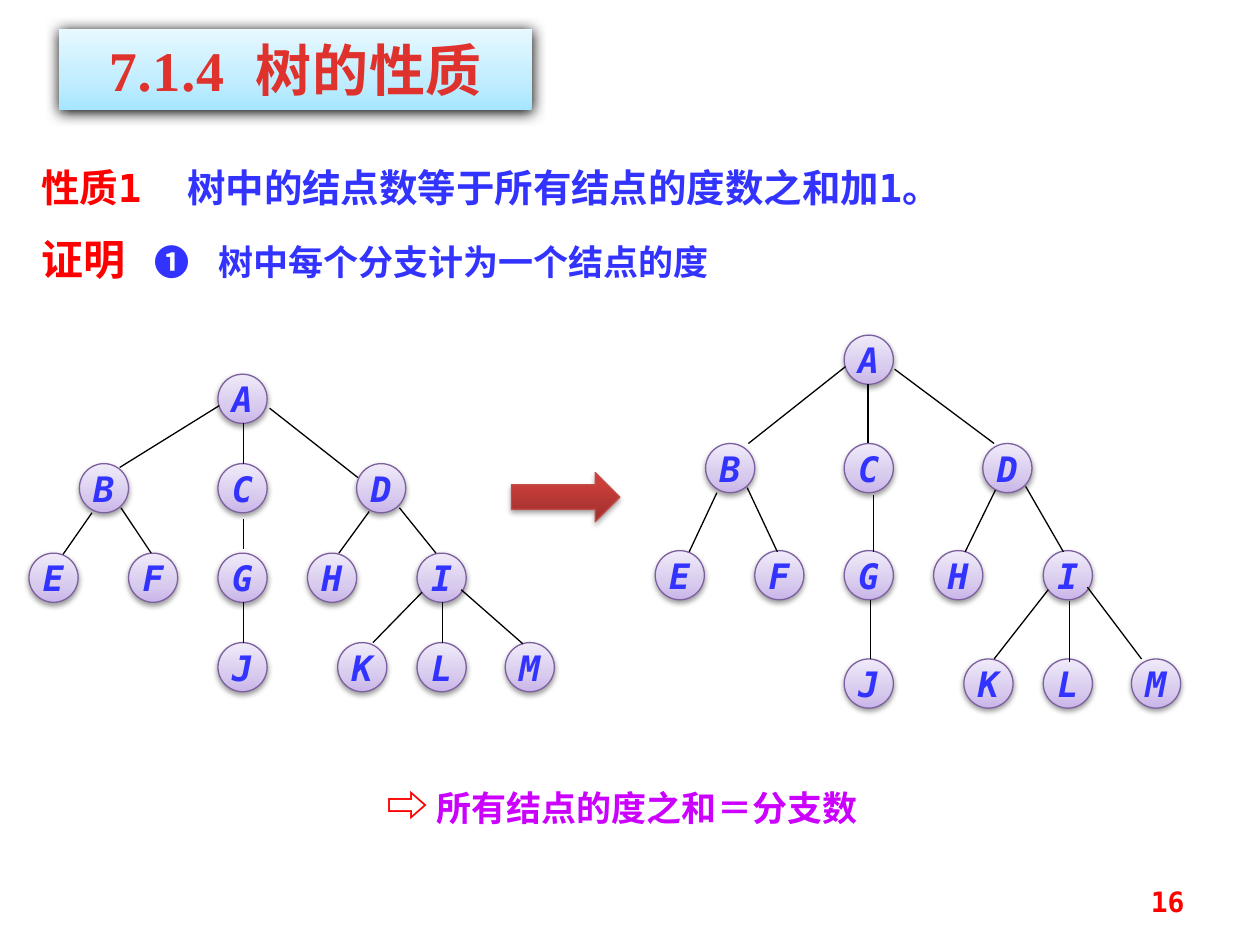
from dataclasses import dataclass

from lxml import etree
from pptx import Presentation
from pptx.dml.color import RGBColor
from pptx.enum.shapes import MSO_CONNECTOR, MSO_SHAPE
from pptx.enum.text import MSO_ANCHOR, MSO_AUTO_SIZE, PP_ALIGN
from pptx.oxml.ns import qn
from pptx.util import Pt

PX = 9144  # EMU in one px, 100 px to the inch
LEFT, MID, RIGHT = PP_ALIGN.LEFT, PP_ALIGN.CENTER, PP_ALIGN.RIGHT
TOP, MIDDLE = MSO_ANCHOR.TOP, MSO_ANCHOR.MIDDLE
GROW, FIXED = MSO_AUTO_SIZE.SHAPE_TO_FIT_TEXT, MSO_AUTO_SIZE.NONE
OVAL, RECT, ARROW = MSO_SHAPE.OVAL, MSO_SHAPE.RECTANGLE, MSO_SHAPE.RIGHT_ARROW
STRAIGHT = MSO_CONNECTOR.STRAIGHT


@dataclass(frozen=True)
class Theme:
    mono: str = "DejaVu Sans Mono"
    serif: str = "Times New Roman"
    red: str = "FF0000"
    blue: str = "3333FF"
    pink: str = "CC00FF"
    brick: str = "E0322D"
    black: str = "000000"
    rim: str = "7D60A0"
    edge: str = "BF4C48"
    # Gradients run from bottom to top: (percent, colour)
    sky: tuple = ((0, "A7E6FF"), (35, "C1EDFF"), (100, "E7F8FF"))
    lilac: tuple = ((0, "C9B5E8"), (35, "D8CBEE"), (100, "F0EAF9"))
    rust: tuple = ((0, "9C2F2D"), (80, "CB3E3A"), (100, "CE3B37"))
    # Shadows: opacity percent, blur and distance in points
    deep: tuple = (100, 8.5, 1)
    soft: tuple = (38, 3.1, 1.6)
    faint: tuple = (35, 3.1, 1.8)
    head: int = 32
    proof: int = 24
    claim: int = 22
    body: int = 20
    page: int = 16
    hair: float = 0.75


THEME = Theme()


def put(para, text, size=THEME.body, color=THEME.blue, font=THEME.mono,
        italic=False, space=0):
    """Add one bold run; space is extra letter spacing in points."""
    run = para.add_run()
    run.text = text
    run.font.name, run.font.size = font, Pt(size)
    run.font.bold, run.font.italic = True, italic
    run.font.color.rgb = RGBColor.from_string(color)
    if space:
        run.font._element.set("spc", str(round(space * 100)))


class Deck:
    def __init__(self, theme, wide, high):
        self.theme = theme
        self.file = Presentation()
        self.file.slide_width, self.file.slide_height = wide * PX, high * PX
        self.slide = self.file.slides.add_slide(self.file.slide_layouts[6])

    def para(self, shape, align=LEFT, anchor=TOP, wrap=True, size=FIXED, lead=None):
        frame = shape.text_frame
        frame.word_wrap, frame.auto_size = wrap, size
        frame.vertical_anchor = anchor
        para = frame.paragraphs[0]
        para.alignment = align
        if lead:
            para.line_spacing = lead
        return para

    def text(self, box, runs, size=GROW, **form):
        shape = self.slide.shapes.add_textbox(*(n * PX for n in box))
        para = self.para(shape, size=size, **form)
        for words, style in runs:
            put(para, words, **style)

    def shape(self, kind, box, stops, shade, line=None, host=None):
        host = host or self.slide
        shape = host.shapes.add_shape(kind, *(n * PX for n in box))
        # Gradient fill
        shape.fill.gradient()
        shape.fill.gradient_angle = 90
        props = shape._element.spPr
        stock = props.find(".//" + qn("a:gsLst"))
        for old in list(stock):
            stock.remove(old)
        for spot, color in stops:
            stop = etree.SubElement(stock, qn("a:gs"), pos=str(spot * 1000))
            etree.SubElement(stop, qn("a:srgbClr"), val=color)
        # Outline
        if line:
            shape.line.color.rgb = RGBColor.from_string(line)
            shape.line.width = Pt(self.theme.hair)
        else:
            shape.line.fill.background()
        # Shadow straight below
        shape.shadow.inherit = False
        alpha, blur, drop = shade
        outer = etree.SubElement(
            props.find(qn("a:effectLst")), qn("a:outerShdw"),
            blurRad=str(Pt(blur)), dist=str(Pt(drop)), dir="5400000",
            rotWithShape="0")
        tint = etree.SubElement(outer, qn("a:srgbClr"), val=self.theme.black)
        etree.SubElement(tint, qn("a:alpha"), val=str(alpha * 1000))
        return shape

    def line(self, ends, host):
        link = host.shapes.add_connector(STRAIGHT, *(n * PX for n in ends))
        link.line.color.rgb = RGBColor.from_string(self.theme.black)
        link.line.width = Pt(self.theme.hair)
        etree.SubElement(link._element.spPr, qn("a:effectLst"))

    def tree(self, left, tops, edges):
        look = self.theme
        group = self.slide.shapes.add_group_shape()
        group_host = Host(group.shapes)
        for row, top in zip(ROWS, tops):
            for name, x in row.items():
                node = self.shape(OVAL, (left + x, top, 39, 39), look.lilac,
                                  look.soft, look.rim, group_host)
                put(self.para(node, MID, MIDDLE, wrap=False), name, italic=True)
        for ends in edges:
            self.line(ends, group_host)


@dataclass
class Host:
    shapes: object


# Nodes of each level with their distance from the left side of the tree
ROWS = (
    {"A": 150},
    {"B": 40, "C": 150, "D": 260},
    {"E": 0, "F": 79, "G": 150, "H": 221, "I": 308},
    {"J": 150, "K": 245, "L": 308, "M": 378},
)
# Branches: x and y of the parent end, then of the child end
FLAT = (
    (174, 322, 95, 371), (193, 336, 193, 368), (214, 324, 284, 379),
    (73, 407, 50, 440), (96, 403, 120, 439), (193, 412, 193, 436),
    (293, 406, 269, 439), (317, 403, 346, 439), (193, 478, 193, 510),
    (335, 470, 296, 510), (351, 478, 351, 510), (366, 468, 415, 511),
)
TALL = (
    (671, 291, 594, 352), (689, 305, 689, 352), (710, 293, 789, 352),
    (569, 391, 547, 438), (593, 387, 617, 438), (693, 393, 693, 438),
    (790, 389, 766, 438), (814, 386, 844, 438), (691, 476, 691, 523),
    (832, 468, 789, 523), (849, 477, 849, 525), (863, 466, 906, 523),
)


def main():
    look = THEME
    deck = Deck(look, 1000, 750)

    # Title
    bar = deck.shape(RECT, (47, 23, 375, 64), look.sky, look.deep)
    para = deck.para(bar, MID, size=GROW)
    title = dict(size=look.head, color=look.brick, font=look.serif)
    for words, space in (("7.1.4", 0.5), (" ", 9), ("树的性质", 0.5)):
        put(para, words, space=space, **title)

    # Property and proof
    claim = dict(size=look.claim)
    deck.text((23, 114, 789, 58), (
        ("性质1", dict(claim, color=look.red)),
        (" ", dict(claim, space=13)),
        ("树中的结点数等于所有结点的度数之和加1。", claim),
    ), lead=1.3)
    gap = (" ", dict(space=12))
    deck.text((23, 176, 578, 55), (
        ("证明", dict(size=look.proof, color=look.red)), gap,
        ("❶", {}), gap, ("树中每个分支计为一个结点的度", {}),
    ), lead=Pt(32))

    # Two trees and the arrow between them
    deck.tree(23, (297, 368, 439, 510), FLAT)
    deck.tree(520, (266, 352, 437, 523), TALL)
    deck.shape(ARROW, (406, 375, 86, 39), look.rust, look.faint, look.edge)

    # Result
    deck.text((297, 609, 461, 55), (
        ("⇨", dict(size=look.proof, color=look.red)), (" ", {}),
        ("所有结点的度之和＝分支数", dict(color=look.pink)),
    ), lead=Pt(32))

    # Page number
    deck.text((717, 695, 233, 40), (("16", dict(size=look.page, color=look.red)),),
              size=FIXED, align=RIGHT, anchor=MIDDLE)

    deck.file.save("out.pptx")


if __name__ == "__main__":
    main()
